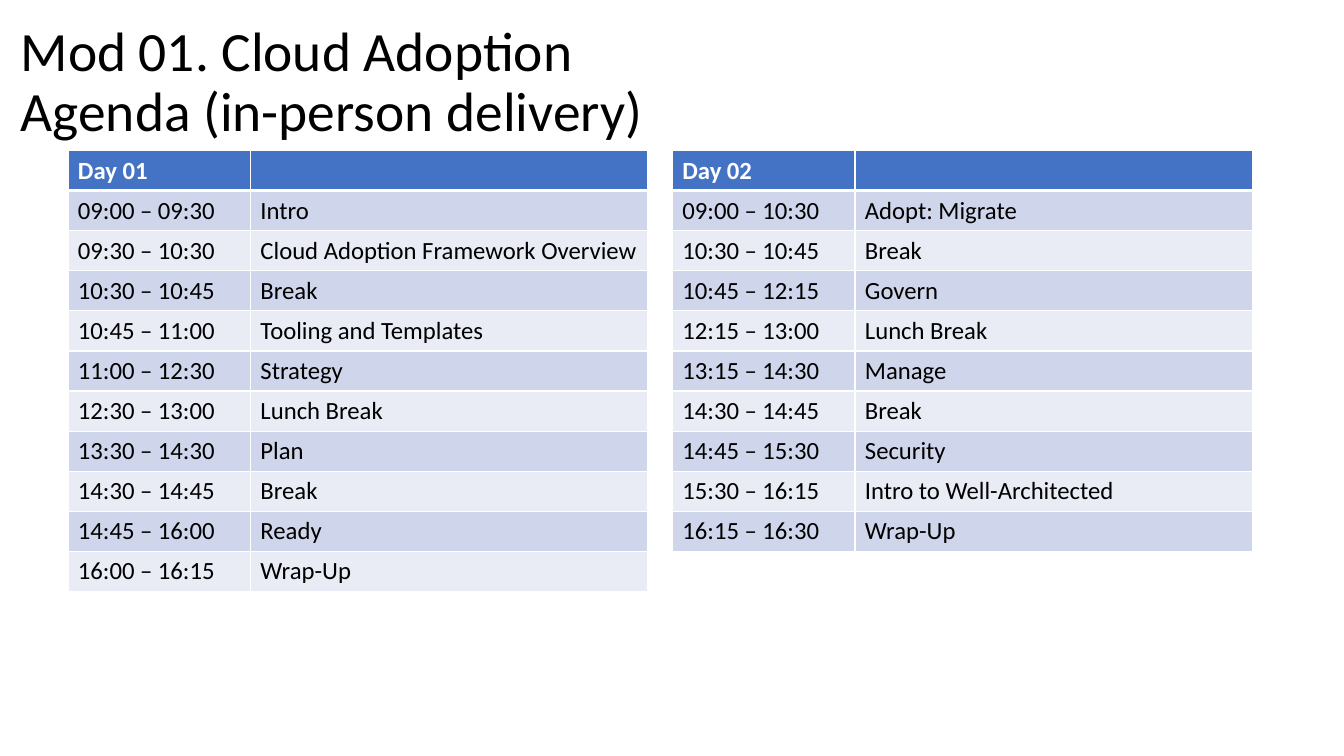
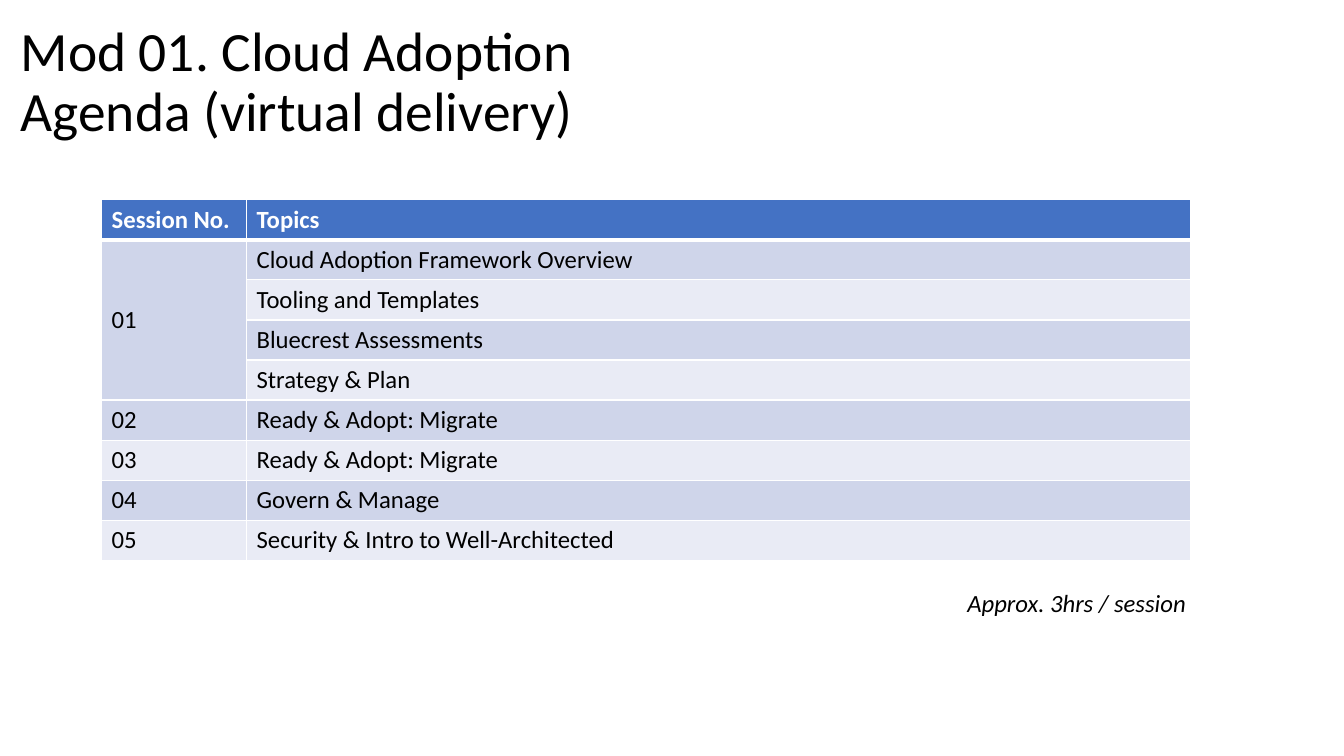
import pptx
import pptx.dml.color
import pptx.enum.text
import pptx.oxml
import pptx.oxml.ns
import pptx.util

Pt = pptx.util.Pt
FONT = "Calibri"
ROW = 29.2
COLORS = {
    "head": "4472C4",
    "dark": "CFD5EA",
    "light": "E9EBF5",
    "white": "FFFFFF",
    "black": "000000",
}
DAYS = [
    [
        ("Day 01", ""),
        ("09:00 – 09:30", "Intro"),
        ("09:30 – 10:30", "Cloud Adoption Framework Overview"),
        ("10:30 – 10:45", "Break"),
        ("10:45 – 11:00", "Tooling and Templates"),
        ("11:00 – 12:30", "Strategy"),
        ("12:30 – 13:00", "Lunch Break"),
        ("13:30 – 14:30", "Plan"),
        ("14:30 – 14:45", "Break"),
        ("14:45 – 16:00", "Ready"),
        ("16:00 – 16:15", "Wrap-Up"),
    ],
    [
        ("Day 02", ""),
        ("09:00 – 10:30", "Adopt: Migrate"),
        ("10:30 – 10:45", "Break"),
        ("10:45 – 12:15", "Govern"),
        ("12:15 – 13:00", "Lunch Break"),
        ("13:15 – 14:30", "Manage"),
        ("14:30 – 14:45", "Break"),
        ("14:45 – 15:30", "Security"),
        ("15:30 – 16:15", "Intro to Well-Architected"),
        ("16:15 – 16:30", "Wrap-Up"),
    ],
]
TOPICS = [
    ("Session No.", "Topics"),
    ("01", "Cloud Adoption Framework Overview"),
    ("", "Tooling and Templates"),
    ("", "Bluecrest Assessments"),
    ("", "Strategy & Plan"),
    ("02", "Ready & Adopt: Migrate"),
    ("03", "Ready & Adopt: Migrate"),
    ("04", "Govern & Manage"),
    ("05", "Security & Intro to Well-Architected"),
]


def color(name):
    return pptx.dml.color.RGBColor.from_string(COLORS[name])


def style(para, size, ink="black", bold=False, italic=False):
    font = para.font
    font.name = FONT
    font.size = Pt(size)
    font.color.rgb = color(ink)
    font.bold = bold
    font.italic = italic


def add_text(slide, text, box, size, italic=False):
    frame = slide.shapes.add_textbox(*map(Pt, box)).text_frame
    frame.word_wrap = True
    frame.text = text
    style(frame.paragraphs[0], size, italic=italic)
    return frame


def add_title(slide, text):
    frame = add_text(slide, text, (8, 12.2, 885, 44.6), 40.4)
    frame.margin_top = Pt(5)
    frame.paragraphs[0].line_spacing = 0.9


def add_edges(cell, row):
    props = cell._tc.get_or_add_tcPr()
    widths = {"L": 1, "R": 1, "T": 3 if row == 1 else 1, "B": 3 if row == 0 else 1}
    for spot, (side, width) in enumerate(widths.items()):
        line = pptx.oxml.parse_xml(
            f'<a:ln{side} {pptx.oxml.ns.nsdecls("a")} w="{Pt(width)}"><a:solidFill>'
            f'<a:srgbClr val="{COLORS["white"]}"/></a:solidFill></a:ln{side}>'
        )
        props.insert(spot, line)


def add_grid(slide, rows, left, top, widths):
    box = (left, top, sum(widths), ROW * len(rows))
    grid = slide.shapes.add_table(len(rows), len(widths), *map(Pt, box)).table
    for col, width in zip(grid.columns, widths):
        col.width = Pt(width)
    for r, texts in enumerate(rows):
        grid.rows[r].height = Pt(ROW)
        shade = "head" if r == 0 else ("light", "dark")[r % 2]
        for c, text in enumerate(texts):
            cell = grid.cell(r, c)
            cell.text = text
            cell.vertical_anchor = pptx.enum.text.MSO_ANCHOR.MIDDLE
            cell.fill.solid()
            cell.fill.fore_color.rgb = color(shade)
            style(cell.text_frame.paragraphs[0], 18,
                  "black" if r else "white", bold=r == 0)
            add_edges(cell, r)
    return grid


def add_slide(deck, mode):
    slide = deck.slides.add_slide(deck.slide_layouts[6])
    add_title(slide, f"Mod 01. Cloud Adoption\vAgenda ({mode} delivery)")
    return slide


def main():
    deck = pptx.Presentation()
    deck.slide_width = Pt(979.2)
    deck.slide_height = Pt(550.8)

    slide = add_slide(deck, "in-person")
    for n, rows in enumerate(DAYS):
        add_grid(slide, rows, 49.6 + 440.4 * n, 109.7, (133, 289.4))

    slide = add_slide(deck, "virtual")
    grid = add_grid(slide, TOPICS, 74.2, 145.5, (105.6, 687.4))
    grid.cell(1, 0).merge(grid.cell(4, 0))
    add_text(slide, "Approx. 3hrs / session", (697.7, 424.4, 176, 29), 18, italic=True)

    deck.save("out.pptx")


if __name__ == "__main__":
    main()
